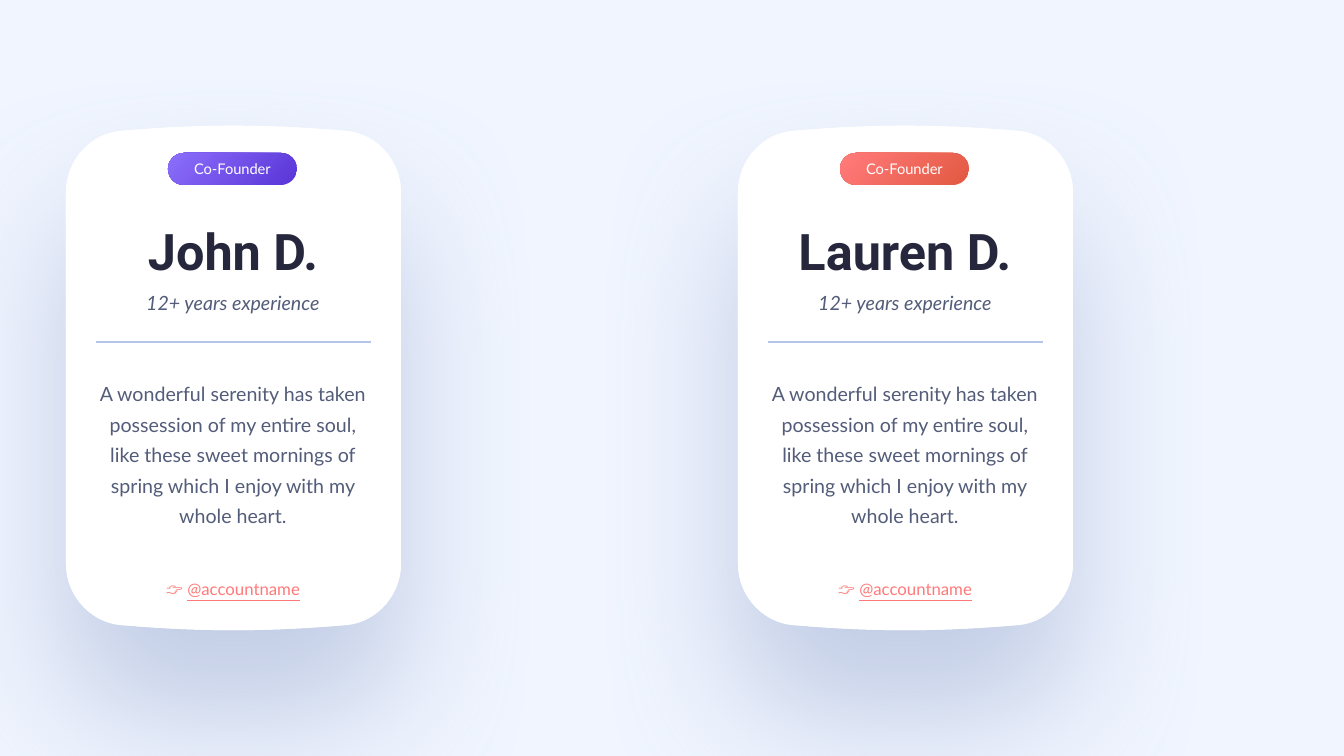
import dataclasses
import typing

import lxml.etree
import pptx
import pptx.dml.color
import pptx.enum.shapes
import pptx.enum.text
import pptx.oxml
import pptx.oxml.ns
import pptx.util

PX_PER_INCH = 100.8
SLIDE_WIDTH, SLIDE_HEIGHT = 1344, 756
FIRST_CARD_LEFT, CARD_STEP = 66, SLIDE_WIDTH // 2
CARD_TOP, CARD_WIDTH, CARD_HEIGHT = 126, 335, 504
WHITE, INK, SLATE, CORAL = "FFFFFF", "26273C", "535C79", "FF7979"
ROLE = "Co-Founder"
EXPERIENCE = "12+ years experience"
BIOGRAPHY = ("A wonderful serenity has taken possession of my entire soul, "
             "like these sweet mornings of spring which I enjoy with my whole heart.")

ROLE_FORMAT = {"size": pptx.util.Pt(10.5), "name": "Lato"}
NAME_FORMAT = {"size": pptx.util.Pt(36), "name": "Roboto", "bold": True}
BODY_FORMAT = {"size": pptx.util.Pt(14), "name": "Lato"}
EXPERIENCE_FORMAT = BODY_FORMAT | {"italic": True}
HAND_FORMAT = {"size": pptx.util.Pt(12), "name": "Lato"}
ACCOUNT_FORMAT = HAND_FORMAT | {"underline": True}

# Upper half of a card's outline, from the card's corner: the start, then
# three cubic curves. The lower half is the same, turned by 180 degrees.
UPPER_OUTLINE = [(0, 66), (0, 35), (24, 8), (54, 5),
                 (137, -2), (198, -2), (281, 5),
                 (311, 8), (335, 35), (335, 66)]
LOWER_OUTLINE = [(CARD_WIDTH - x, CARD_HEIGHT - y) for x, y in UPPER_OUTLINE]


@dataclasses.dataclass(frozen=True)
class Founder:
    name: str
    pill_start: str
    pill_end: str


@dataclasses.dataclass(frozen=True)
class TextRun:
    text: str
    color: str
    font_format: dict


@dataclasses.dataclass(frozen=True)
class TextArea:
    """Place of a text, with its left edge measured from the card."""
    left: int
    top: int
    width: int
    height: int
    line_spacing: typing.Optional[float] = None


NAME_AREA = TextArea(21, 215, 292, 72)
EXPERIENCE_AREA = TextArea(21, 286, 292, 34)
BIOGRAPHY_AREA = TextArea(21, 370, 292, 161, 1.3)
ACCOUNT_AREA = TextArea(45, 570, 244, 32, 1.2)

FOUNDERS = [Founder("John D.", "8A6CFA", "5B38D8"),
            Founder("Lauren D.", CORAL, "E45B44")]


def px(length: int) -> int:
    return pptx.util.Inches(length / PX_PER_INCH)


def rgb(value: str) -> pptx.dml.color.RGBColor:
    return pptx.dml.color.RGBColor.from_string(value)


def add_node(parent: typing.Any, tag: str, **attributes: str) -> typing.Any:
    return lxml.etree.SubElement(parent, pptx.oxml.ns.qn(tag), attributes)


def write_runs(frame: typing.Any, runs: typing.Sequence[TextRun],
               line_spacing: typing.Optional[float] = None) -> None:
    paragraph = frame.paragraphs[0]
    paragraph.alignment = pptx.enum.text.PP_ALIGN.CENTER
    if line_spacing:
        paragraph.line_spacing = line_spacing
    for text_run in runs:
        run = paragraph.add_run()
        run.text = text_run.text
        run.font.color.rgb = rgb(text_run.color)
        for attribute, value in text_run.font_format.items():
            setattr(run.font, attribute, value)


def add_text(shapes: typing.Any, card_left: int, area: TextArea,
             *runs: TextRun) -> None:
    box = shapes.add_textbox(px(card_left + area.left), px(area.top),
                             px(area.width), px(area.height))
    box.text_frame.word_wrap = True
    box.text_frame.auto_size = pptx.enum.text.MSO_AUTO_SIZE.SHAPE_TO_FIT_TEXT
    write_runs(box.text_frame, runs, area.line_spacing)


def curve_outline(sheet: typing.Any) -> None:
    """Turn a rectangular freeform into the curved card."""
    outline = next(sheet._element.spPr.iter(pptx.oxml.ns.qn("a:path")))
    for segment in list(outline):
        outline.remove(segment)
    for start_tag, half in (("a:moveTo", UPPER_OUTLINE),
                            ("a:lnTo", LOWER_OUTLINE)):
        segments = [(start_tag, half[:1])]
        segments += [("a:cubicBezTo", half[first:first + 3])
                     for first in range(1, len(half), 3)]
        for tag, points in segments:
            segment = add_node(outline, tag)
            for x, y in points:
                add_node(segment, "a:pt", x=str(px(x)), y=str(px(y)))
    add_node(outline, "a:close")


def add_soft_shadow(shape: typing.Any) -> None:
    effects = shape._element.spPr.find(pptx.oxml.ns.qn("a:effectLst"))
    shadow = add_node(effects, "a:outerShdw", blurRad=str(pptx.util.Pt(100)),
                      dist=str(pptx.util.Pt(60)), dir="5400000",
                      rotWithShape="0")
    add_node(add_node(shadow, "a:srgbClr", val="93A4CB"),
             "a:alpha", val="49000")


def add_card(shapes: typing.Any, left: int) -> None:
    """A shadowed sheet with a plain one on top, grouped."""
    group = shapes.add_group_shape()
    right, bottom = left + CARD_WIDTH, CARD_TOP + CARD_HEIGHT
    corners = [(px(x), px(y)) for x, y in (
        (left, CARD_TOP), (right, CARD_TOP), (right, bottom), (left, bottom))]
    for has_shadow in (True, False):
        builder = group.shapes.build_freeform(*corners[0])
        builder.add_line_segments(corners[1:], close=True)
        sheet = builder.convert_to_shape()
        curve_outline(sheet)
        sheet.shadow.inherit = False
        sheet.fill.solid()
        sheet.fill.fore_color.rgb = rgb(WHITE)
        sheet.line.fill.background()
        if has_shadow:
            add_soft_shadow(sheet)


def add_role_pill(shapes: typing.Any, card_left: int, founder: Founder) -> None:
    pill = shapes.add_shape(pptx.enum.shapes.MSO_SHAPE.ROUNDED_RECTANGLE,
                            px(card_left + 102), px(153), px(129), px(32))
    pill.adjustments[0] = 0.5
    pill.shadow.inherit = False
    pill.line.fill.background()
    pill.fill.gradient()
    stops = zip(pill.fill.gradient_stops, (0.05, 0.95),
                (founder.pill_start, founder.pill_end))
    for stop, position, color in stops:
        stop.position = position
        stop.color.rgb = rgb(color)
    gradient = pill._element.spPr.find(pptx.oxml.ns.qn("a:gradFill"))
    gradient.remove(gradient.find(pptx.oxml.ns.qn("a:lin")))
    radial = add_node(gradient, "a:path", path="circle")
    add_node(radial, "a:fillToRect", r="100000", b="100000")
    pill.text_frame.vertical_anchor = pptx.enum.text.MSO_ANCHOR.MIDDLE
    write_runs(pill.text_frame, [TextRun(ROLE, WHITE, ROLE_FORMAT)])


def add_divider(shapes: typing.Any, card_left: int) -> None:
    divider = shapes.add_connector(pptx.enum.shapes.MSO_CONNECTOR.STRAIGHT,
                                   px(card_left + 30), px(342),
                                   px(card_left + 305), px(342))
    divider.line.color.rgb = rgb("B3C5EA")
    divider.line.width = pptx.util.Pt(1)
    add_node(divider._element.spPr, "a:effectLst")


def add_founder(shapes: typing.Any, left: int, founder: Founder) -> None:
    add_card(shapes, left)
    add_role_pill(shapes, left, founder)
    heading = shapes.add_group_shape().shapes
    add_text(heading, left, NAME_AREA, TextRun(founder.name, INK, NAME_FORMAT))
    add_text(heading, left, EXPERIENCE_AREA,
             TextRun(EXPERIENCE, SLATE, EXPERIENCE_FORMAT))
    add_divider(shapes, left)
    add_text(shapes, left, BIOGRAPHY_AREA,
             TextRun(BIOGRAPHY, SLATE, BODY_FORMAT))
    add_text(shapes, left, ACCOUNT_AREA, TextRun("👉 ", CORAL, HAND_FORMAT),
             TextRun("@accountname", CORAL, ACCOUNT_FORMAT))


def main() -> None:
    presentation = pptx.Presentation()
    presentation.slide_width = px(SLIDE_WIDTH)
    presentation.slide_height = px(SLIDE_HEIGHT)
    slide = presentation.slides.add_slide(presentation.slide_layouts[6])
    slide.background.fill.solid()
    slide.background.fill.fore_color.rgb = rgb("F0F5FF")
    for index, founder in enumerate(FOUNDERS):
        add_founder(slide.shapes, FIRST_CARD_LEFT + index * CARD_STEP, founder)
    presentation.save("out.pptx")


if __name__ == "__main__":
    main()
